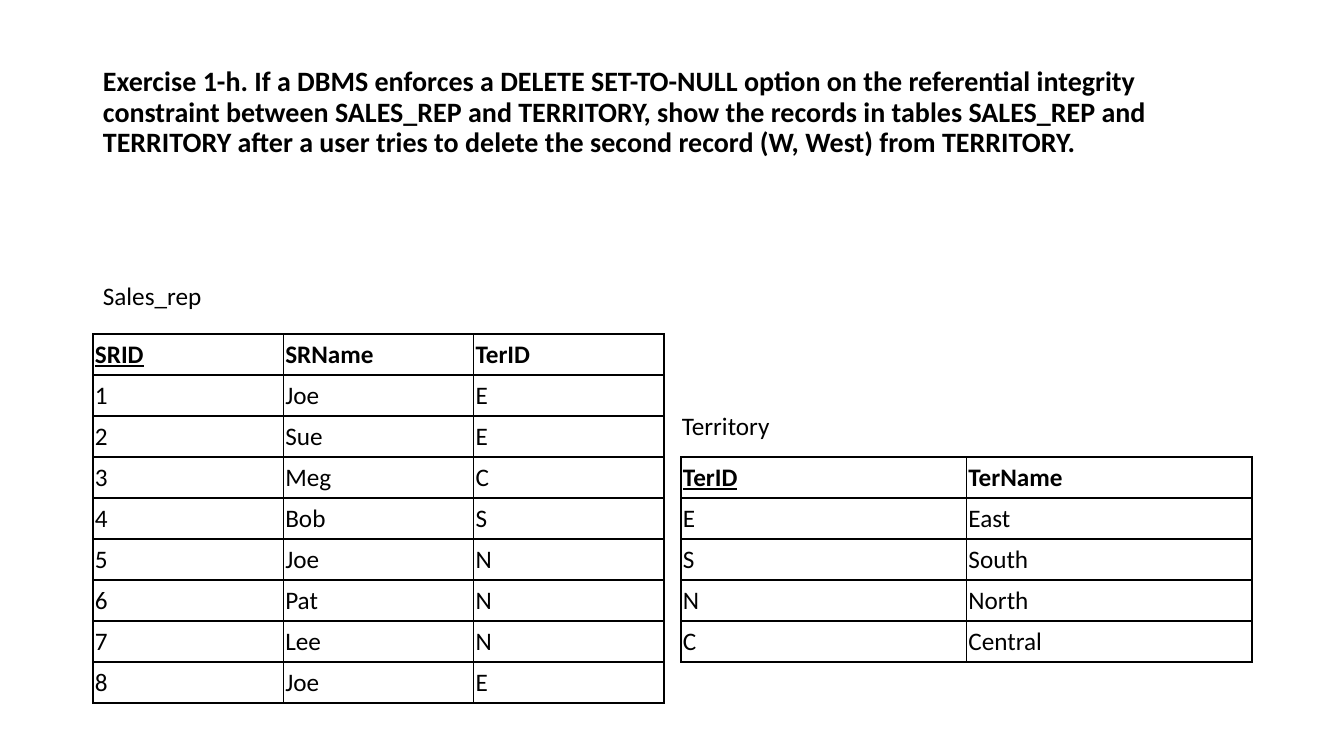
from lxml import etree
from pptx import Presentation
from pptx.dml.color import RGBColor
from pptx.enum.text import MSO_ANCHOR, MSO_AUTO_SIZE
from pptx.oxml.ns import qn
from pptx.util import Emu, Pt

MIDDLE, TOP = MSO_ANCHOR.MIDDLE, MSO_ANCHOR.TOP
GROW, FIXED = MSO_AUTO_SIZE.SHAPE_TO_FIT_TEXT, MSO_AUTO_SIZE.NONE
EMU_PER_PX = 914400 / 100.8
FONT, BLACK, WHITE = "Calibri", "000000", "FFFFFF"
ROW_HEIGHT, CELL_INSET = 41, 2

QUESTION = (
    "Exercise 1-h. If a DBMS enforces a DELETE SET-TO-NULL option on the referential "
    "integrity constraint between SALES_REP and TERRITORY, show the records in tables "
    "SALES_REP and TERRITORY after a user tries to delete the second record (W, West) "
    "from TERRITORY."
)
SALES_REPS = [
    ("SRID", "SRName", "TerID"),
    ("1", "Joe", "E"),
    ("2", "Sue", "E"),
    ("3", "Meg", "C"),
    ("4", "Bob", "S"),
    ("5", "Joe", "N"),
    ("6", "Pat", "N"),
    ("7", "Lee", "N"),
    ("8", "Joe", "E"),
]
TERRITORIES = [
    ("TerID", "TerName"),
    ("E", "East"),
    ("S", "South"),
    ("N", "North"),
    ("C", "Central"),
]


def px(length):
    return Emu(round(length * EMU_PER_PX))


def color(value):
    return RGBColor.from_string(value)


def write(frame, text, size=18, bold=False, underline=False, spacing=1.0):
    paragraph = frame.paragraphs[0]
    paragraph.line_spacing = spacing
    run = paragraph.add_run()
    run.text = text
    run.font.name = FONT
    run.font.size = Pt(size)
    run.font.bold = bold
    run.font.underline = underline
    run.font.color.rgb = color(BLACK)


def add_text(slide, box, text, anchor=TOP, wrap=False, fit=GROW, **style):
    frame = slide.shapes.add_textbox(*map(px, box)).text_frame
    frame.word_wrap = wrap
    frame.auto_size = fit
    frame.vertical_anchor = anchor
    write(frame, text, **style)


def add_borders(cell):
    properties = cell._tc.get_or_add_tcPr()
    for side in ("lnL", "lnR", "lnT", "lnB"):
        border = etree.SubElement(properties, qn(f"a:{side}"), w=str(Pt(1)))
        fill = etree.SubElement(border, qn("a:solidFill"))
        etree.SubElement(fill, qn("a:srgbClr"), val=BLACK)


def add_records(slide, box, records):
    left, top, width = box
    column_count = len(records[0])
    table = slide.shapes.add_table(
        len(records), column_count,
        px(left), px(top), px(width), px(ROW_HEIGHT * len(records)),
    ).table
    table.first_row = False
    table.horz_banding = False
    for column in table.columns:
        column.width = px(width / column_count)
    for row_index, record in enumerate(records):
        table.rows[row_index].height = px(ROW_HEIGHT)
        for column_index, value in enumerate(record):
            cell = table.cell(row_index, column_index)
            cell.margin_left = cell.margin_right = px(CELL_INSET)
            cell.margin_top = cell.margin_bottom = px(CELL_INSET)
            cell.vertical_anchor = MIDDLE
            add_borders(cell)
            cell.fill.background()
            is_header = row_index == 0
            write(cell.text_frame, value, bold=is_header,
                  underline=is_header and column_index == 0)


def build_exercise(slide, box):
    left, top, width, height = box
    table_width = 571
    territory_left = left + width - table_width
    records_bottom = top + 663
    add_text(slide, (left, top, width, height), QUESTION, anchor=MIDDLE,
             wrap=True, fit=FIXED, size=20, bold=True, spacing=0.9)
    sales_top = records_bottom - ROW_HEIGHT * len(SALES_REPS)
    territory_top = records_bottom - ROW_HEIGHT * (len(TERRITORIES) + 1)
    add_records(slide, (left, sales_top, table_width), SALES_REPS)
    add_records(slide, (territory_left, territory_top, table_width), TERRITORIES)
    add_text(slide, (left, sales_top - 59, 120, 40), "Sales_rep")
    add_text(slide, (territory_left - 9, territory_top - 52, 109, 40), "Territory")


def main():
    presentation = Presentation()
    presentation.slide_width = px(1344)
    presentation.slide_height = px(756)
    slide = presentation.slides.add_slide(presentation.slide_layouts[6])
    slide.background.fill.solid()
    slide.background.fill.fore_color.rgb = color(WHITE)
    build_exercise(slide, (93, 40, 1159, 146))
    presentation.save("out.pptx")


if __name__ == "__main__":
    main()
